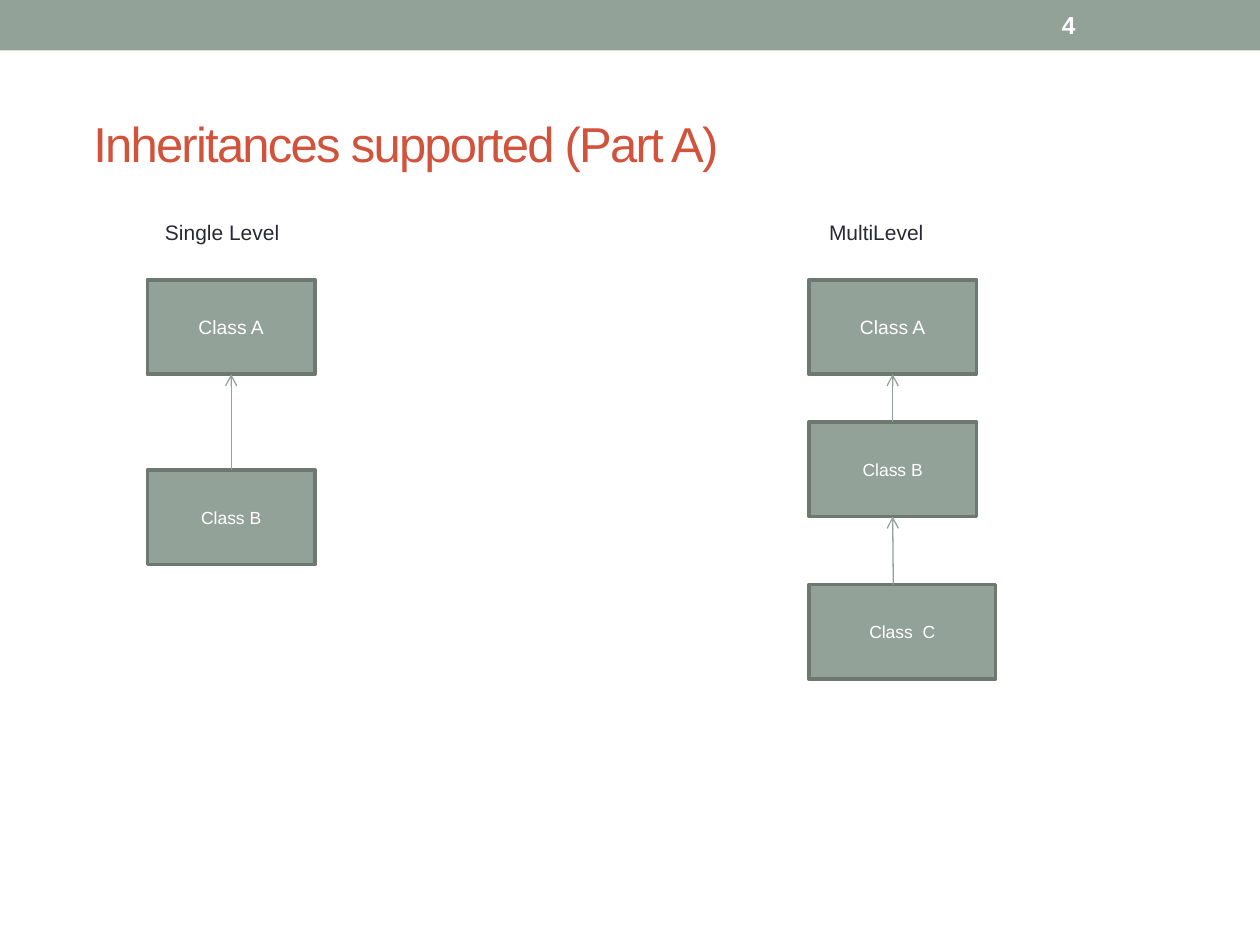
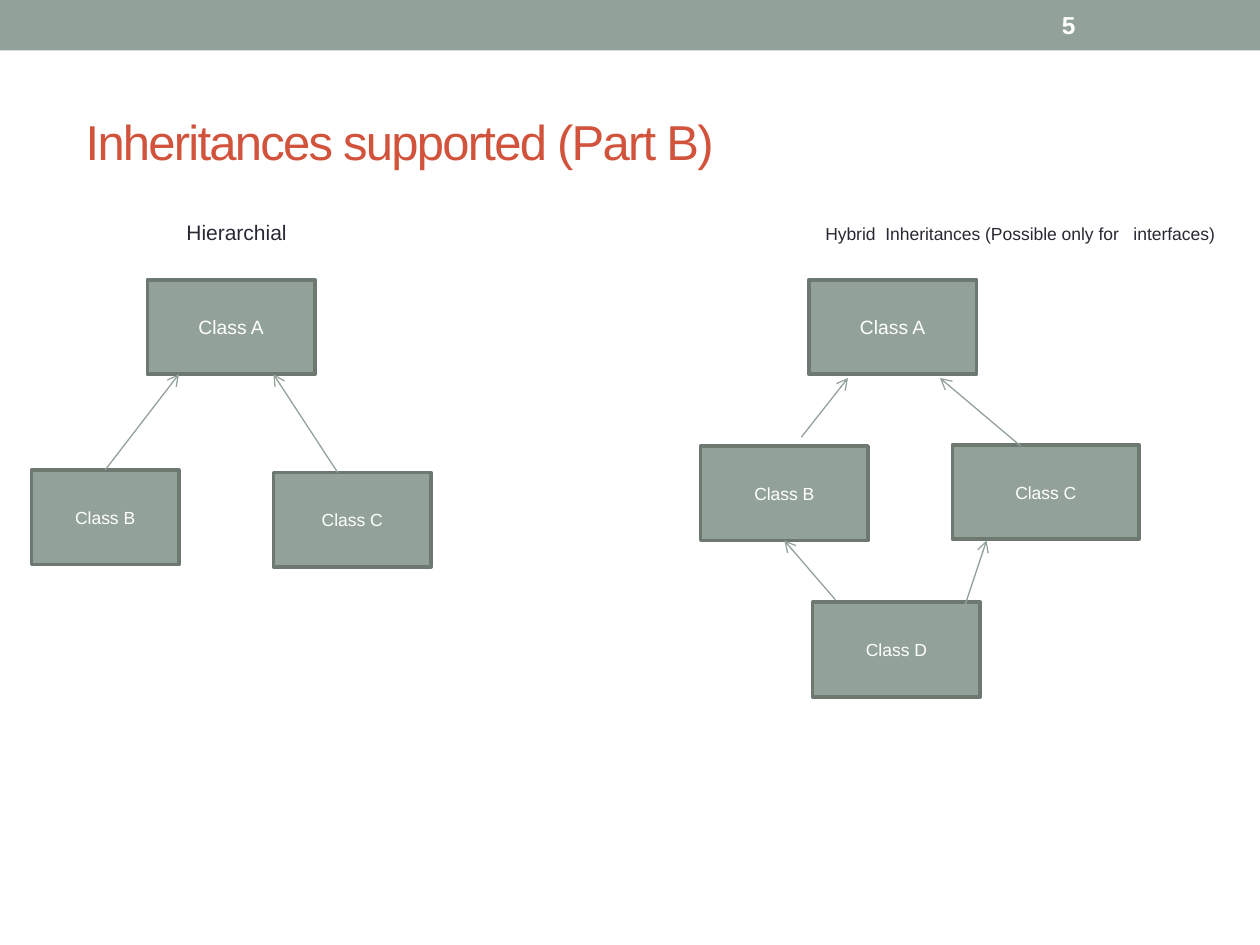
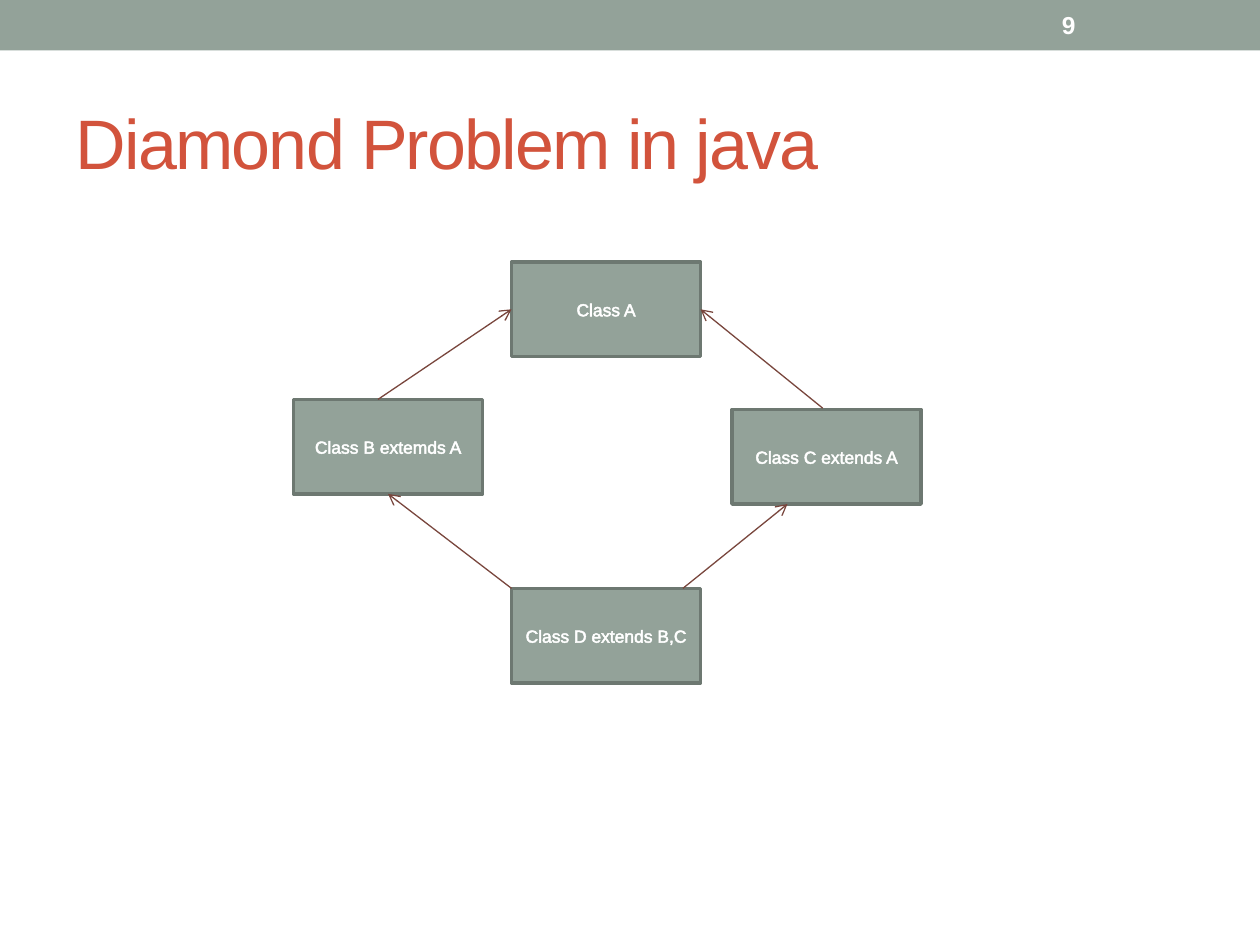
"""Build three slides on the kinds of class inheritance."""
from lxml import etree
from pptx import Presentation
from pptx.dml.color import RGBColor
from pptx.enum import shapes, text
from pptx.oxml import ns
from pptx.util import Inches, Pt

FONT = "Arial"
COLORS = {"sage": "93A299", "edge": "6D7871", "title": "D2533C",
          "ink": "292934", "brown": "79463D", "white": "FFFFFF"}
TOP, LEFT, BOTTOM, RIGHT = range(4)
BOX_HEIGHT = 0.75
LABEL_TOP, LABEL_HEIGHT = 1.64, 0.3

# Boxes: name -> (left, top, width, text size).
# Arrow ends: (box name, side) to join a box, or (x, y).
PAGES = [
    {"number": "4", "title": "Inheritances supported (Part A)", "size": 28,
     "title_at": (0.5, 0.5, 8.95, 1.15), "insets": (0.24, 0.17), "arrow": "sage",
     "diagrams": [
         {"label": ("Single Level", 1.31, 12),
          "boxes": {"Class A": (1.17, 2.22, 1.33, 11), "Class B": (1.17, 3.73, 1.33, 10)},
          "arrows": [(("Class B", TOP), ("Class A", BOTTOM))]},
         {"label": ("MultiLevel", 6.58, 12),
          "boxes": {"Class A": (6.42, 2.22, 1.33, 11), "Class B": (6.42, 3.35, 1.33, 10),
                    "Class  C": (6.42, 4.64, 1.48, 10)},
          "arrows": [(("Class B", TOP), ("Class A", BOTTOM)),
                     ((7.09, 4.64), ("Class B", BOTTOM))]}]},
    {"number": "5", "title": "Inheritances supported (Part B)", "size": 28,
     "title_at": (0.5, 0.58, 9, 1.08), "insets": (0.18, 0.05), "arrow": "sage",
     "diagrams": [
         {"label": ("Hierarchial", 1.48, 12),
          "boxes": {"Class A": (1.17, 2.22, 1.33, 11), "Class B": (0.25, 3.73, 1.17, 10),
                    "Class C": (2.17, 3.75, 1.25, 10)},
          "arrows": [(("Class B", TOP), (1.42, 2.97)), ((2.68, 3.75), (2.17, 2.97))]},
         {"label": ("Hybrid  Inheritances (Possible only for   interfaces)", 6.55, 10),
          "boxes": {"Class A": (6.42, 2.22, 1.33, 11), "Class B": (5.56, 3.54, 1.33, 10),
                    "Class C": (7.56, 3.53, 1.48, 10), "Class D": (6.45, 4.78, 1.33, 10)},
          "arrows": [((6.36, 3.47), (6.73, 3)), ((8.1, 3.54), (7.46, 3)),
                     ((6.63, 4.76), ("Class B", BOTTOM)), ((7.66, 4.8), (7.83, 4.29))]}]},
    {"number": "9", "title": "Diamond Problem in java", "size": 40,
     "title_at": (0.5, 0.58, 9, 1.08), "insets": (0.1, 0.05), "arrow": "brown",
     "outlined": True,
     "diagrams": [
         {"boxes": {"Class A": (4.06, 2.08, 1.5, 10), "Class B extemds A": (2.33, 3.17, 1.5, 10),
                    "Class C extends A": (5.81, 3.25, 1.5, 10),
                    "Class D extends B,C": (4.06, 4.67, 1.5, 10)},
          "arrows": [((3, 3.17), ("Class A", LEFT)), ((6.53, 3.24), ("Class A", RIGHT)),
                     ((4.06, 4.67), ("Class B extemds A", BOTTOM)),
                     ((5.42, 4.67), (6.25, 4))]}]},
]


def rgb(name):
    return RGBColor.from_string(COLORS[name])


def inches(values):
    return [Inches(value) for value in values]


def write(shape, words, size, color, align=text.PP_ALIGN.LEFT, bold=False):
    shape.text_frame.text = words
    para = shape.text_frame.paragraphs[0]
    para.alignment = align
    font = para.font
    font.name, font.size, font.bold = FONT, Pt(size), bold
    font.color.rgb = rgb(color)


def text_properties(shape):
    return next(shape.element.iter(ns.qn("a:defRPr")))


def add_rectangle(page, at, line=None):
    box = page.shapes.add_shape(shapes.MSO_SHAPE.RECTANGLE, *inches(at))
    box.shadow.inherit = False
    box.fill.solid()
    box.fill.fore_color.rgb = rgb("sage")
    if line:
        box.line.color.rgb = rgb(line)
        box.line.width = Pt(2.08)
    else:
        box.line.fill.background()
    return box


def add_label(page, words, at, size, color, anchor, inset=0, bold=False):
    box = page.shapes.add_textbox(*inches(at))
    frame = box.text_frame
    frame.word_wrap = True
    frame.vertical_anchor = anchor
    frame.margin_left = frame.margin_right = Inches(inset)
    frame.margin_top = frame.margin_bottom = 0
    write(box, words, size, color, bold=bold)


def add_class_box(page, name, left, top, width, size, outlined):
    box = add_rectangle(page, (left, top, width, BOX_HEIGHT), "edge")
    box.text_frame.word_wrap = True
    box.text_frame.vertical_anchor = text.MSO_ANCHOR.MIDDLE
    write(box, name, size, "white", text.PP_ALIGN.CENTER)
    if outlined:
        outline = etree.Element(ns.qn("a:ln"), w=str(Pt(1.45)))
        fill = etree.SubElement(outline, ns.qn("a:solidFill"))
        etree.SubElement(fill, ns.qn("a:srgbClr"), val=COLORS["white"])
        text_properties(box).insert(0, outline)
    return box


def add_arrow(page, start, end, boxes, color):
    joined = [point[0] in boxes for point in (start, end)]
    places = [(0, 0) if join else point for join, point in zip(joined, (start, end))]
    arrow = page.shapes.add_connector(shapes.MSO_CONNECTOR.STRAIGHT,
                                      *inches(places[0] + places[1]))
    if joined[0]:
        arrow.begin_connect(boxes[start[0]], start[1])
    if joined[1]:
        arrow.end_connect(boxes[end[0]], end[1])
    arrow.line.color.rgb = rgb(color)
    arrow.line.width = Pt(0.75)
    etree.SubElement(arrow.line._get_or_add_ln(), ns.qn("a:tailEnd"), type="arrow")
    etree.SubElement(arrow.element.spPr, ns.qn("a:effectLst"))


def set_title(page, content):
    title = page.shapes.title
    title.left, title.top, title.width, title.height = inches(content["title_at"])
    frame = title.text_frame
    frame.auto_size = text.MSO_AUTO_SIZE.NONE
    frame.vertical_anchor = text.MSO_ANCHOR.MIDDLE
    frame.margin_left, frame.margin_top = inches(content["insets"])
    write(title, content["title"], content["size"], "title")
    text_properties(title).set("spc", "-100")


def add_diagram(page, diagram, arrow_color, outlined):
    if "label" in diagram:
        words, left, size = diagram["label"]
        add_label(page, words, (left, LABEL_TOP, 3.4, LABEL_HEIGHT), size, "ink",
                  text.MSO_ANCHOR.BOTTOM)
    boxes = {name: add_class_box(page, name, *place, outlined)
             for name, place in diagram["boxes"].items()}
    for start, end in diagram["arrows"]:
        add_arrow(page, start, end, boxes, arrow_color)


def add_band(page, layout):
    band = add_rectangle(page, (0, 0, 10, 0.4))
    band.element.nvSpPr.cNvPr.set("id", "20")
    layout.shapes.element.insert(2, band.element)


def main():
    deck = Presentation()
    deck.slide_width, deck.slide_height = inches((10, 7.5))
    layout = deck.slide_layouts[5]
    for content in PAGES:
        page = deck.slides.add_slide(layout)
        if content is PAGES[0]:
            add_band(page, layout)
        set_title(page, content)
        add_label(page, content["number"], (8.33, 0.02, 1.17, 0.36), 14, "white",
                  text.MSO_ANCHOR.MIDDLE, inset=0.1, bold=True)
        for diagram in content["diagrams"]:
            add_diagram(page, diagram, content["arrow"], content.get("outlined", False))
    deck.save("out.pptx")


if __name__ == "__main__":
    main()
